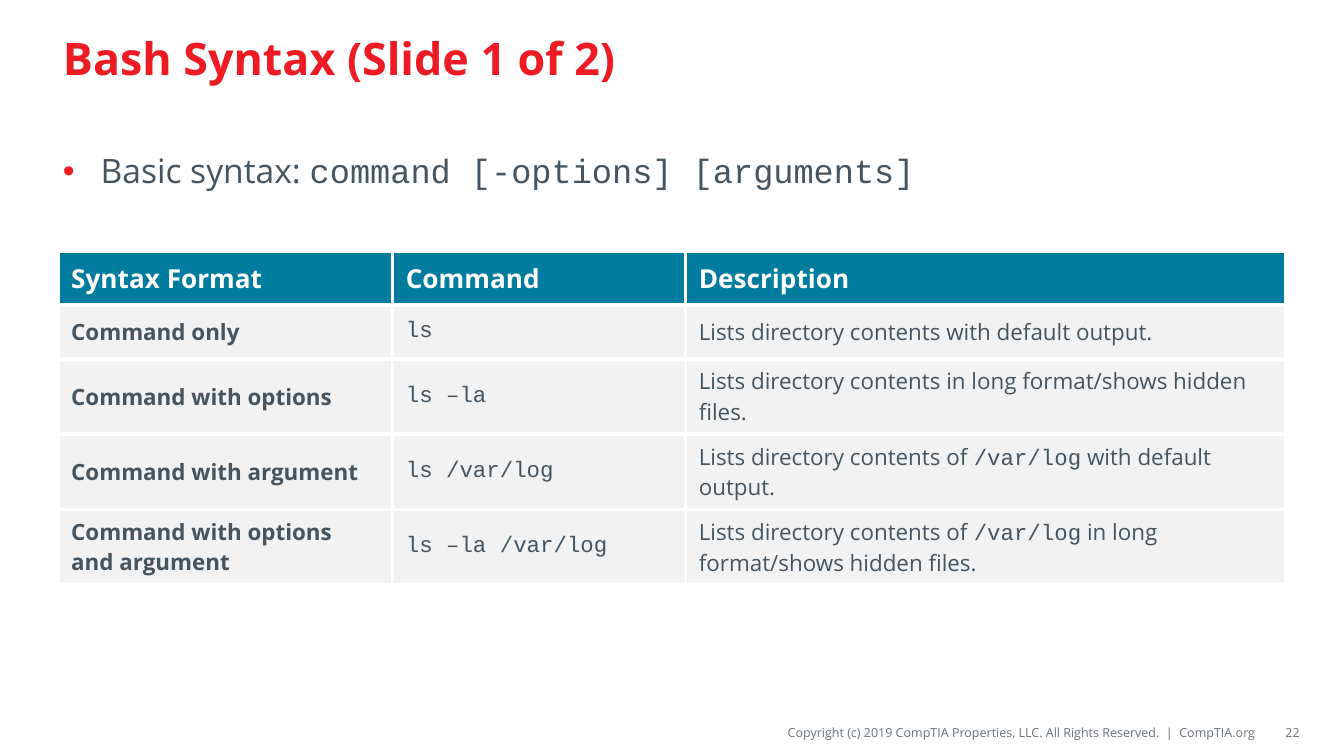
from lxml.etree import SubElement
from pptx import Presentation
from pptx.dml.color import RGBColor
from pptx.enum.text import MSO_ANCHOR as Anchor, PP_ALIGN as Align
from pptx.oxml.ns import qn
from pptx.util import Inches, Pt

# Content: backticks enclose code
TITLE = "Bash Syntax (Slide 1 of 2)"
SYNTAX = "Basic syntax: `command [-options] [arguments]`"
HEADER = ("Syntax Format", "Command", "Description")
ROWS = [
    ("Command only", "`ls`", "Lists directory contents with default output."),
    ("Command with options", "`ls –la`",
     "Lists directory contents in long format/shows hidden files."),
    ("Command with argument", "`ls /var/log`",
     "Lists directory contents of `/var/log` with default output."),
    ("Command with options and argument", "`ls –la /var/log`",
     "Lists directory contents of `/var/log` in long format/shows hidden files."),
]
COPYRIGHT = ("Copyright (c) 2019 CompTIA Properties, LLC. All Rights Reserved."
             "  |  CompTIA.org")
PAGE_NUMBER = "22"

# Style
BODY_FONT, CODE_FONT = "Open Sans", "Courier New"
RED, TEAL, SLATE = "ED1C24", "007C9E", "45545F"
GREY, PALE, WHITE = "69727B", "F2F2F2", "FFFFFF"

# Layout in inches, on a 16:9 slide
WIDTH = 10
HEIGHT = WIDTH * 9 / 16
MARGIN, CONTENT_WIDTH = 0.37, 9.25
TABLE_LEFT, TABLE_TOP = 0.43, 1.87
COLUMN_WIDTHS = (2.49, 2.18, 4.47)
ONE_LINE, TWO_LINES = 0.4, 0.56
ROW_HEIGHTS = [ONE_LINE] * 2 + [TWO_LINES] * 3
FOOTER_TOP, FOOTER_HEIGHT = 5.34, 0.22


def color(value):
    return RGBColor.from_string(value)


def write(paragraph, text, size, ink, bold=False):
    """Write text, setting the parts between backticks in the code font."""
    for index, part in enumerate(text.split("`")):
        if part:
            run = paragraph.add_run()
            run.text = part
            run.font.name = CODE_FONT if index % 2 else BODY_FONT
            run.font.size = Pt(size)
            run.font.bold = bold
            run.font.color.rgb = color(ink)


def add_text(slide, box, text, size, ink, bold=False, anchor=Anchor.MIDDLE,
             align=Align.LEFT, right_inset=0.1):
    frame = slide.shapes.add_textbox(*map(Inches, box)).text_frame
    frame.word_wrap = True
    frame.vertical_anchor = anchor
    frame.margin_right = Inches(right_inset)
    paragraph = frame.paragraphs[0]
    paragraph.alignment = align
    write(paragraph, text, size, ink, bold)
    return paragraph


def add_bullet(paragraph, ink, indent):
    properties = paragraph._p.get_or_add_pPr()
    properties.set("marL", str(Inches(indent)))
    properties.set("indent", str(-Inches(indent)))
    bullet_color = SubElement(properties, qn("a:buClr"))
    SubElement(bullet_color, qn("a:srgbClr"), val=ink)
    SubElement(properties, qn("a:buFont"), typeface="Arial")
    SubElement(properties, qn("a:buChar"), char="•")


def style_cell(cell, fill):
    cell.vertical_anchor = Anchor.MIDDLE
    properties = cell._tc.get_or_add_tcPr()
    for side in ("lnL", "lnR", "lnT", "lnB"):
        line = SubElement(properties, qn(f"a:{side}"), w=str(Pt(2.25)))
        line_fill = SubElement(line, qn("a:solidFill"))
        SubElement(line_fill, qn("a:srgbClr"), val=WHITE)
    cell.fill.solid()
    cell.fill.fore_color.rgb = color(fill)


def add_syntax_table(slide):
    rows = [HEADER, *ROWS]
    table = slide.shapes.add_table(
        len(rows), len(HEADER), Inches(TABLE_LEFT), Inches(TABLE_TOP),
        Inches(sum(COLUMN_WIDTHS)), Inches(sum(ROW_HEIGHTS))).table
    for column, width in zip(table.columns, COLUMN_WIDTHS):
        column.width = Inches(width)
    for table_row, height in zip(table.rows, ROW_HEIGHTS):
        table_row.height = Inches(height)
    for r, row in enumerate(rows):
        is_header = r == 0
        for c, text in enumerate(row):
            cell = table.cell(r, c)
            style_cell(cell, TEAL if is_header else PALE)
            write(cell.text_frame.paragraphs[0], text, 14 if is_header else 12,
                  WHITE if is_header else SLATE, bold=is_header or c == 0)


def main():
    deck = Presentation()
    deck.slide_width, deck.slide_height = Inches(WIDTH), Inches(HEIGHT)
    slide = deck.slides.add_slide(deck.slide_layouts[6])

    # Title and syntax line
    add_text(slide, (MARGIN, 0.08, CONTENT_WIDTH, 0.69), TITLE, 24, RED, bold=True)
    syntax = add_text(slide, (MARGIN, 1.07, CONTENT_WIDTH, 3.9), SYNTAX, 18, SLATE,
                      anchor=Anchor.TOP)
    add_bullet(syntax, RED, 0.28)

    add_syntax_table(slide)

    # Footer
    for left, width, text in ((3.88, 5.47, COPYRIGHT), (9.38, 0.29, PAGE_NUMBER)):
        add_text(slide, (left, FOOTER_TOP, width, FOOTER_HEIGHT), text, 6.75, GREY,
                 align=Align.RIGHT, right_inset=0)

    deck.save("out.pptx")


if __name__ == "__main__":
    main()
